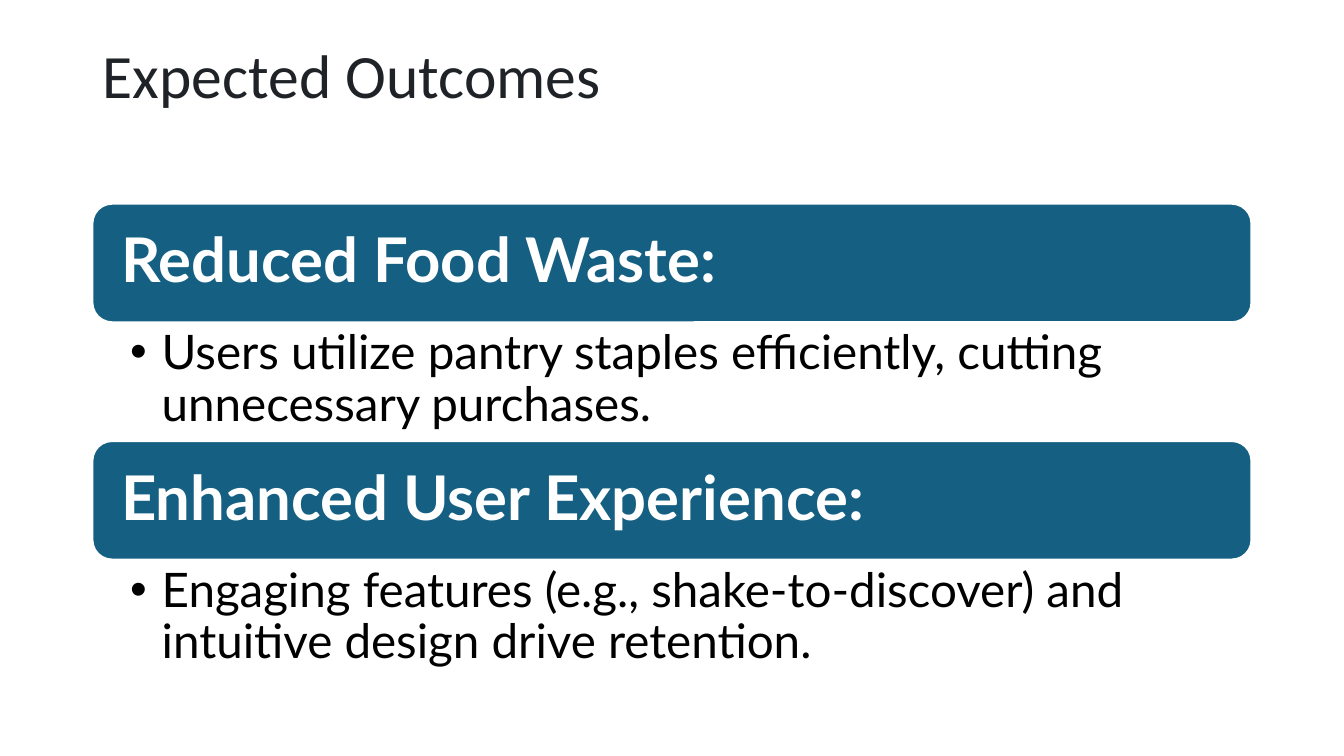
from dataclasses import dataclass
from lxml.etree import SubElement
from pptx import Presentation
from pptx.dml.color import RGBColor
from pptx.enum.shapes import MSO_SHAPE
from pptx.enum.text import MSO_ANCHOR, MSO_AUTO_SIZE, PP_ALIGN
from pptx.oxml.ns import qn
from pptx.util import Pt


@dataclass(frozen=True)
class Theme:
    ink: str = "1F2328"
    bar: str = "156082"
    white: str = "FFFFFF"
    black: str = "000000"
    head: str = "Calibri"
    body: str = "Lato"
    large: int = 44
    small: int = 34
    edge: float = 1.5


THEME = Theme()
SCALE = 9525
LEFT, WIDTH = 88, 1104
TOP, HIGH = 194, 113
TOPICS = [
    ("Reduced Food Waste:",
     "Users utilize pantry staples efficiently, cutting unnecessary purchases."),
    ("Enhanced User Experience:",
     "Engaging features (e.g., shake-to-discover) and intuitive design drive retention."),
]


def px(n):
    return n * SCALE


def place(shape, top, high):
    shape.left, shape.top = px(LEFT), px(top)
    shape.width, shape.height = px(WIDTH), px(high)


def write(shape, text, face, size, color, pads, anchor, bold=False):
    frame = shape.text_frame
    frame.text = text
    frame.word_wrap = True
    frame.auto_size = MSO_AUTO_SIZE.NONE
    frame.vertical_anchor = anchor
    (frame.margin_left, frame.margin_top,
     frame.margin_right, frame.margin_bottom) = map(px, pads)
    para = frame.paragraphs[0]
    para.alignment = PP_ALIGN.LEFT
    para.line_spacing = 0.9
    para.space_before = Pt(0)
    font = para.runs[0].font
    font.name, font.size, font.bold = face, Pt(size), bold
    font.color.rgb = RGBColor.from_string(color)
    return para


def add_title(slide, text):
    title = slide.shapes.title
    place(title, 38, 139)
    write(title, text, THEME.head, THEME.large, THEME.ink,
          (10, 5, 10, 5), MSO_ANCHOR.TOP)


def add_bar(slide, text, top):
    bar = slide.shapes.add_shape(
        MSO_SHAPE.ROUNDED_RECTANGLE, px(LEFT), px(top), px(WIDTH), px(HIGH))
    bar.shadow.inherit = False
    bar.fill.solid()
    bar.fill.fore_color.rgb = RGBColor.from_string(THEME.bar)
    bar.line.color.rgb = RGBColor.from_string(THEME.white)
    bar.line.width = Pt(THEME.edge)
    write(bar, text, THEME.body, THEME.large, THEME.white,
          (22, 22, 22, 22), MSO_ANCHOR.MIDDLE, True)


def fill_list(holder, text, top):
    place(holder, top, HIGH)
    para = write(holder, text, THEME.body, THEME.small, THEME.black,
                 (36, 6, 33, 6), MSO_ANCHOR.TOP)
    props = para._p.get_or_add_pPr()
    props.set("marL", str(px(30)))
    props.set("indent", str(px(-30)))
    SubElement(props, qn("a:buChar")).set("char", "•")


def main():
    deck = Presentation()
    deck.slide_width, deck.slide_height = px(1280), px(720)
    slide = deck.slides.add_slide(deck.slide_layouts.get_by_name("Two Content"))
    add_title(slide, "Expected Outcomes")
    for row, (name, note) in enumerate(TOPICS):
        top = TOP + row * 2 * HIGH
        add_bar(slide, name, top)
        fill_list(slide.placeholders[row + 1], note, top + HIGH)
    deck.save("out.pptx")


if __name__ == "__main__":
    main()
